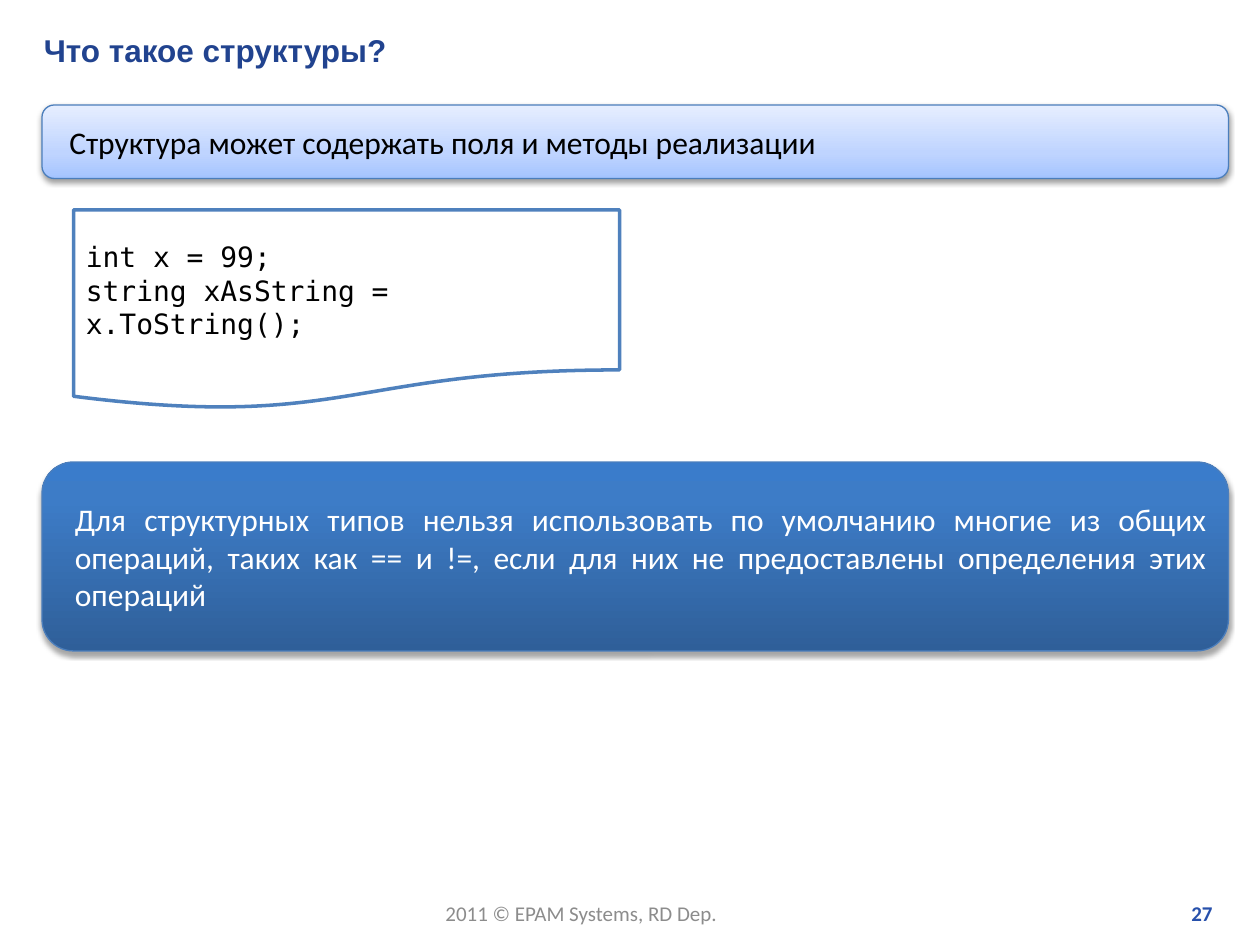
from dataclasses import dataclass

import pptx
import pptx.dml.color
import pptx.enum.shapes
import pptx.enum.text
import pptx.oxml
import pptx.oxml.ns
import pptx.util
from lxml import etree

Pt = pptx.util.Pt
qn = pptx.oxml.ns.qn
MSO_SHAPE = pptx.enum.shapes.MSO_SHAPE
ALIGN = pptx.enum.text.PP_ALIGN
ANCHOR = pptx.enum.text.MSO_ANCHOR


@dataclass
class Label:
    box: tuple[float, float, float, float]
    text: str
    font: str
    size: float
    color: str
    bold: bool = False
    align: ALIGN = ALIGN.LEFT
    anchor: ANCHOR = ANCHOR.TOP
    wrap: bool = True


@dataclass
class Banner:
    top: float
    height: float
    text: str
    color: str
    stops: list[tuple[int, str]]
    shadow_alpha: int
    shadow_distance: float


LABELS = [
    Label((247.5, 511, 172, 22), "2011 © EPAM Systems, RD Dep.",
          "Calibri", 12, "8C8C8C", wrap=False),
    Label((547, 511, 153, 22), "27", "Calibri", 12, "2750AB", bold=True, align=ALIGN.RIGHT),
    Label((18, 14.4, 687, 28.8), "Что такое структуры?",
          "Arial", 18, "21438F", bold=True, anchor=ANCHOR.MIDDLE),
]

BANNERS = [
    Banner(264, 108,
           "Для структурных типов нельзя использовать по умолчанию многие из общих операций, "
           "таких как == и !=, если для них не предоставлены определения этих операций",
           "FFFFFF", [(0, "2F5F99"), (80, "3D7CC7"), (100, "3A7CCB")], 35, 1.8),
    Banner(60, 42, "Cтруктура может содержать поля и методы реализации",
           "000000", [(0, "A4C4FF"), (35, "BFD4FF"), (100, "E6EEFF")], 38, 1.6),
]

CODE = ["int x = 99;", "string xAsString = x.ToString();"]


def rgb(color: str) -> pptx.dml.color.RGBColor:
    return pptx.dml.color.RGBColor.from_string(color)


def set_font(p, name: str, size: float, color: str, bold: bool = False) -> None:
    p.font.name = name
    p.font.size = Pt(size)
    p.font.bold = bold
    p.font.color.rgb = rgb(color)


def add_color(parent, color: str):
    return etree.SubElement(parent, qn("a:srgbClr"), val=color)


def set_gradient(sp, stops: list[tuple[int, str]]) -> None:
    """Vertical gradient running from the bottom up."""
    sp.fill.gradient()
    sp.fill.gradient_angle = 90
    stop_list = sp.element.spPr.find(".//" + qn("a:gsLst"))
    for old in list(stop_list):
        stop_list.remove(old)
    for position, color in stops:
        stop = etree.SubElement(stop_list, qn("a:gs"), pos=str(position * 1000))
        add_color(stop, color)


def set_shadow(sp, alpha: int, distance: float) -> None:
    """Soft black shadow below the shape."""
    sp.shadow.inherit = False
    effects = sp.element.spPr.find(qn("a:effectLst"))
    shadow = etree.SubElement(effects, qn("a:outerShdw"), blurRad=str(Pt(3.1)),
                              dist=str(Pt(distance)), dir="5400000", rotWithShape="0")
    etree.SubElement(add_color(shadow, "000000"), qn("a:alpha"), val=str(alpha * 1000))


def add_label(s, label: Label) -> None:
    tf = s.shapes.add_textbox(*map(Pt, label.box)).text_frame
    tf.word_wrap = label.wrap
    tf.vertical_anchor = label.anchor
    p = tf.paragraphs[0]
    p.text = label.text
    p.alignment = label.align
    set_font(p, label.font, label.size, label.color, label.bold)


def add_outlined(s, kind: MSO_SHAPE, box: tuple, line: str, width: float):
    sp = s.shapes.add_shape(kind, *map(Pt, box))
    sp.shadow.inherit = False
    sp.line.color.rgb = rgb(line)
    sp.line.width = Pt(width)
    sp.text_frame.word_wrap = True
    sp.text_frame.vertical_anchor = ANCHOR.MIDDLE
    return sp


def add_banner(s, banner: Banner) -> None:
    sp = add_outlined(s, MSO_SHAPE.ROUNDED_RECTANGLE,
                      (24, banner.top, 678, banner.height), "4B7EBC", 0.75)
    set_gradient(sp, banner.stops)
    set_shadow(sp, banner.shadow_alpha, banner.shadow_distance)
    p = sp.text_frame.paragraphs[0]
    p.text = banner.text
    p.alignment = ALIGN.JUSTIFY
    p_pr = p._p.get_or_add_pPr()
    p_pr.set("marL", str(Pt(6.5)))
    p_pr.set("indent", "0")
    set_font(p, "Calibri", 18, banner.color)


def add_code(s, lines: list[str]) -> None:
    sp = add_outlined(s, MSO_SHAPE.FLOWCHART_DOCUMENT, (42, 120, 312, 114), "4F81BD", 2)
    sp.fill.solid()
    sp.fill.fore_color.rgb = rgb("FFFFFF")
    tf = sp.text_frame
    tf.text = "\n".join(lines)
    for p in tf.paragraphs:
        p.alignment = ALIGN.LEFT
        set_font(p, "DejaVu Sans Mono", 16, "000000")


def main() -> None:
    prs = pptx.Presentation()
    prs.slide_width, prs.slide_height = Pt(720), Pt(540)
    s = prs.slides.add_slide(prs.slide_layouts[6])

    # Footer, page number and title
    for label in LABELS:
        add_label(s, label)

    # Statements
    for banner in BANNERS:
        add_banner(s, banner)

    # Code sample
    add_code(s, CODE)

    prs.save("out.pptx")


if __name__ == "__main__":
    main()
